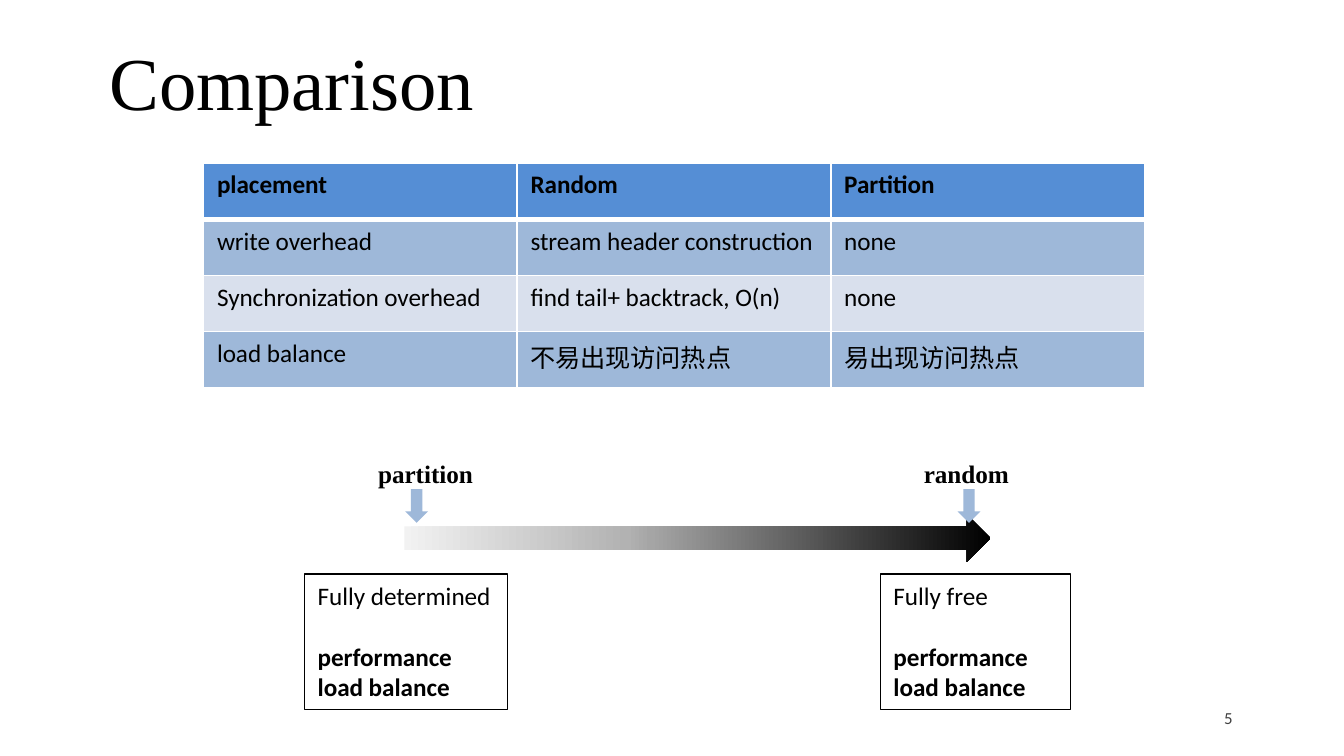
import copy

import lxml.etree
import pptx
import pptx.dml.color
import pptx.enum.shapes
import pptx.enum.text
import pptx.oxml.ns
import pptx.util

# The page is a square grid: 100 columns by 56.25 rows (16:9)
STEP = 0.1
COLS, ROWS = 100, 56.25
SANS, SERIF = "Calibri", "Times New Roman"
BODY = 13.5
HUES = {
    "ink": "000000",
    "page": "404040",
    "head": "558ED5",
    "dark": "9EB8D9",
    "light": "D9E0ED",
    "rule": "FFFFFF",
}
FADE = [(0, "F2F2F2"), (0.38, "B2B2B2"), (0.42, "A5A5A5"), (1, "000000")]
TABLE = [
    ["placement", "Random", "Partition"],
    ["write overhead", "stream header construction", "none"],
    ["Synchronization overhead", "find tail+ backtrack, O(n)", "none"],
    ["load balance", "不易出现访问热点", "易出现访问热点"],
]
KINDS = pptx.enum.shapes.MSO_SHAPE
ALIGN = pptx.enum.text.PP_ALIGN
ANCHOR = pptx.enum.text.MSO_ANCHOR


def grid(*steps):
    return [pptx.util.Inches(step * STEP) for step in steps]


def tint(name):
    return pptx.dml.color.RGBColor.from_string(HUES[name])


def paint(fill, name):
    fill.solid()
    fill.fore_color.rgb = tint(name)


def write(para, text, size=BODY, face=SANS, bold=False, hue="ink"):
    run = para.add_run()
    run.text = text
    run.font.size = pptx.util.Pt(size)
    run.font.name = face
    run.font.bold = bold
    run.font.color.rgb = tint(hue)


def label(slide, box, text, wrap=True, anchor=ANCHOR.TOP, align=ALIGN.LEFT, **style):
    frame = slide.shapes.add_textbox(*grid(*box)).text_frame
    frame.word_wrap = wrap
    frame.vertical_anchor = anchor
    para = frame.paragraphs[0]
    para.alignment = align
    write(para, text, **style)
    return para


def shape(slide, kind, box):
    item = slide.shapes.add_shape(kind, *grid(*box))
    item.shadow.inherit = False
    item.line.fill.background()
    return item


def border(cell, sides):
    props = cell._tc.get_or_add_tcPr()
    for side, width in sides.items():
        line = lxml.etree.SubElement(
            props, pptx.oxml.ns.qn("a:ln" + side), w=str(pptx.util.Pt(width)))
        fill = lxml.etree.SubElement(line, pptx.oxml.ns.qn("a:solidFill"))
        lxml.etree.SubElement(fill, pptx.oxml.ns.qn("a:srgbClr"), val=HUES["rule"])


def table(slide, box):
    frame = slide.shapes.add_table(len(TABLE), len(TABLE[0]), *grid(*box))
    for r, row in enumerate(TABLE):
        for c, text in enumerate(row):
            cell = frame.table.cell(r, c)
            # A thick rule parts the header from the body
            border(cell, {"L": 1, "R": 1, "T": 3 if r == 1 else 1, "B": 3 if r == 0 else 1})
            paint(cell.fill, "head" if r == 0 else "dark" if r % 2 else "light")
            write(cell.text_frame.paragraphs[0], text, bold=r == 0)


def scale(slide, box):
    bar = shape(slide, KINDS.RIGHT_ARROW, box)
    bar.fill.gradient()
    bar.fill.gradient_angle = 0
    stops = bar._element.spPr.find(".//" + pptx.oxml.ns.qn("a:gsLst"))
    while len(stops) < len(FADE):
        stops.append(copy.deepcopy(stops[0]))
    for stop, (place, code) in zip(bar.fill.gradient_stops, FADE):
        stop.position = place
        stop.color.rgb = pptx.dml.color.RGBColor.from_string(code)


def marker(slide, left, text, tip):
    paint(shape(slide, KINDS.DOWN_ARROW, (tip, 36.4, 1.7, 2.5)).fill, "dark")
    label(slide, (left, 33.6, 9.8, 3.3), text, face=SERIF, bold=True)


def note(slide, left, width, lead):
    card = shape(slide, KINDS.RECTANGLE, (left, 42.7, width, 10.1))
    card.fill.background()
    card.line.color.rgb = tint("ink")
    card.line.width = pptx.util.Pt(0.75)
    frame = card.text_frame
    frame.word_wrap = True
    frame.vertical_anchor = ANCHOR.TOP
    lines = [(lead, False, 0), ("performance", True, 16.5), ("load balance", True, 0)]
    for i, (text, bold, gap) in enumerate(lines):
        para = frame.add_paragraph() if i else frame.paragraphs[0]
        para.alignment = ALIGN.LEFT
        para.space_before = pptx.util.Pt(gap)
        write(para, text, bold=bold)


def main():
    deck = pptx.Presentation()
    deck.slide_width, deck.slide_height = grid(COLS, ROWS)
    slide = deck.slides.add_slide(deck.slide_layouts[6])

    # Page number and title
    label(slide, (70.6, 52.1, 22.1, 2.6), "5", anchor=ANCHOR.MIDDLE,
          align=ALIGN.RIGHT, size=9, hue="page")
    title = label(slide, (7.15, 3.5, 29.2, 6.4), "Comparison", wrap=False,
                  size=40, face=SERIF)
    title.line_spacing = 0.8

    # Comparison table
    table(slide, (15.15, 12.15, 70, 16.7))

    # Scale from partition to random
    scale(slide, (30.1, 38.3, 43.6, 3.5))
    marker(slide, 27.15, "partition", tip=30.15)
    marker(slide, 67.75, "random", tip=71.25)
    note(slide, 22.65, 15.1, "Fully determined")
    note(slide, 65.5, 14.15, "Fully free")

    deck.save("out.pptx")


if __name__ == "__main__":
    main()
